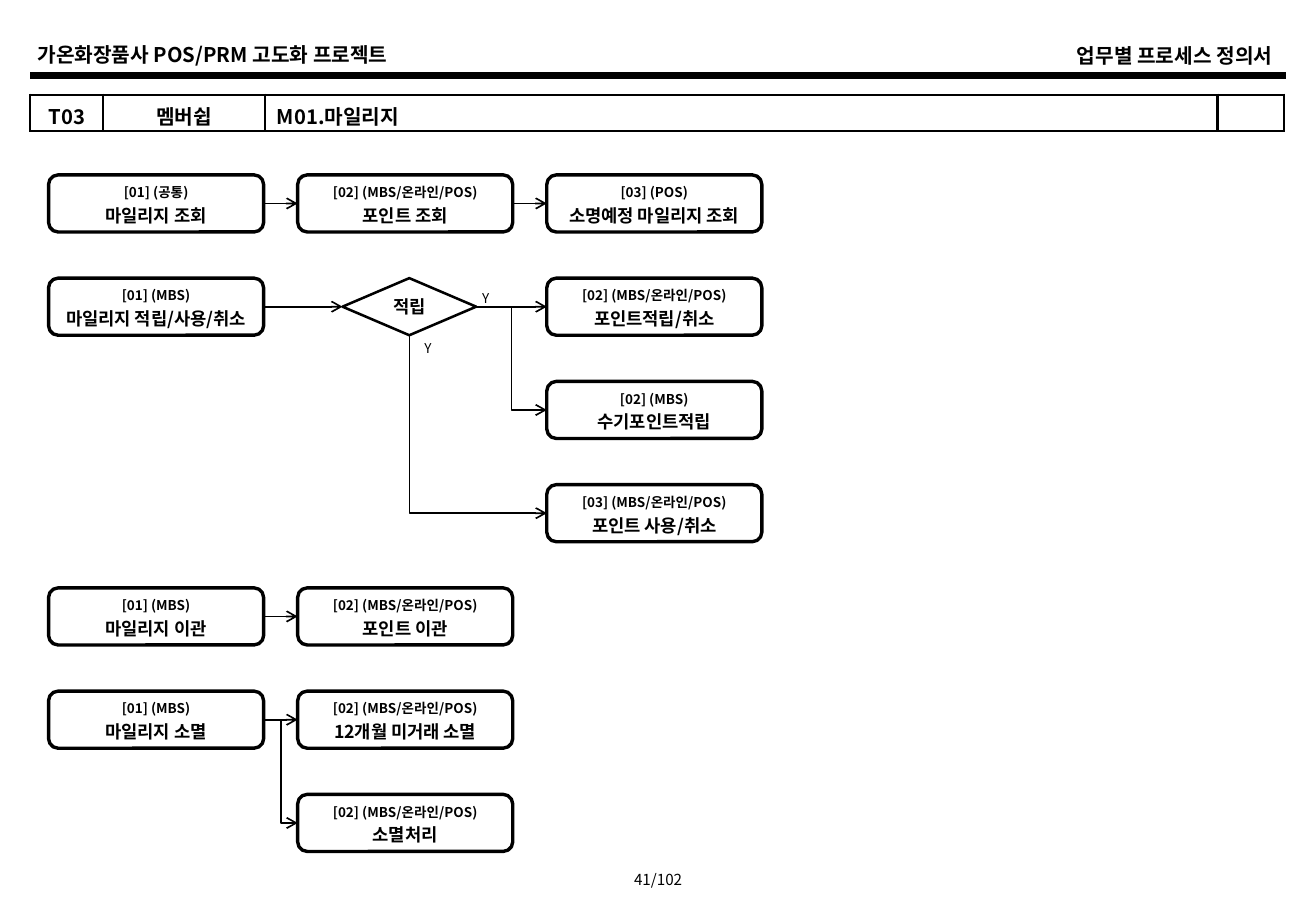
from lxml.etree import SubElement as Sub
from pptx import Presentation
from pptx.dml.color import RGBColor as RGB
from pptx.enum.shapes import MSO_CONNECTOR as Link, MSO_SHAPE as Form
from pptx.enum.text import MSO_ANCHOR as Anchor, PP_ALIGN as Align
from pptx.oxml.ns import qn
from pptx.util import Inches, Pt

INK = {"black": "000000", "white": "FFFFFF"}
FONT = "Noto Sans CJK KR"
SHOPS = "(MBS/온라인/POS)"


class Sheet:
    """Draws on one slide, with flow boxes on a grid and the rest in percent."""

    def __init__(self):
        self.deck = Presentation()
        self.deck.slide_width, self.deck.slide_height = Inches(10.83), Inches(7.5)
        self.slide = self.deck.slides.add_slide(self.deck.slide_layouts[6])
        self.slide.background.fill.solid()
        self.slide.background.fill.fore_color.rgb = self.ink("white")
        self.shapes = self.slide.shapes

    def ink(self, name):
        return RGB.from_string(INK[name])

    def wide(self, share):
        return round(self.deck.slide_width * share / 100)

    def high(self, share):
        return round(self.deck.slide_height * share / 100)

    def area(self, x, y, w, h):
        return self.wide(x), self.high(y), self.wide(w), self.high(h)

    def cell(self, col, row, width):
        return Inches(0.4 + 2.05 * col), Inches(1.44 + 0.85 * row), Inches(width), Inches(0.47)

    def letter(self, frame, lines, size, align, bold=True, space=None):
        for num, text in enumerate(lines):
            para = frame.add_paragraph() if num else frame.paragraphs[0]
            para.text = text
            para.alignment = align
            para.line_spacing = space
            font = para.font
            font.size = Pt(size[num])
            font.bold = bold
            font.name = FONT
            font.color.rgb = self.ink("black")
            base = para._p.get_or_add_pPr().get_or_add_defRPr()
            Sub(base, qn("a:ea"), typeface=FONT)
            if not text:
                Sub(para._p, qn("a:endParaRPr"), sz=str(size[num] * 100))

    def label(self, text, place, size, align, bold=False, wrap=True):
        frame = self.shapes.add_textbox(*self.area(*place)).text_frame
        frame.word_wrap = wrap
        self.letter(frame, [text], [size], align, bold)

    def block(self, form, place, lines, size, line, inset, space=None):
        shape = self.shapes.add_shape(form, *place)
        shape.shadow.inherit = False
        shape.fill.solid()
        shape.fill.fore_color.rgb = self.ink("white")
        shape.line.color.rgb = self.ink("black")
        shape.line.width = Pt(line)
        frame = shape.text_frame
        frame.word_wrap = True
        frame.vertical_anchor = Anchor.MIDDLE
        frame.margin_left = frame.margin_right = Inches(inset)
        frame.margin_top = frame.margin_bottom = Inches(inset)
        self.letter(frame, lines, size, Align.CENTER, space=space)
        return shape

    def step(self, col, row, code, name):
        return self.block(Form.ROUNDED_RECTANGLE, self.cell(col, row, 1.77),
                          [code, name], [8, 10.5], 2, 0.04, 1.2)

    def check(self, col, row, name):
        return self.block(Form.FLOWCHART_DECISION, self.cell(col, row, 1.1),
                          [name], [10.5], 1.5, 0)

    def line(self, kind, ends, width):
        link = self.shapes.add_connector(kind, *ends)
        link.line.color.rgb = self.ink("black")
        link.line.width = Pt(width)
        Sub(link._element.spPr, qn("a:effectLst"))
        return link

    def wire(self, start, end, kind=Link.STRAIGHT, down=False):
        link = self.line(kind, (0, 0, 0, 0), 1)
        link.begin_connect(start, 2 if down else 3)
        link.end_connect(end, 1)
        Sub(link._element.spPr.find(qn("a:ln")), qn("a:tailEnd"), type="arrow")
        if down:
            self.turn(link)

    def turn(self, link):
        x, y, w, h = link.left, link.top, link.width, link.height
        link.left, link.top = x + (w - h) // 2, y + (h - w) // 2
        link.width, link.height = h, w
        props = link._element.spPr
        frame = props.find(qn("a:xfrm"))
        frame.set("rot", "16200000")
        frame.set("flipH", "1")
        props.find(qn("a:prstGeom")).set("prst", "bentConnector2")

    def table(self, place, cols):
        grid = self.shapes.add_table(1, len(cols), *self.area(*place)).table
        grid.first_row = grid.horz_banding = False
        for num, (width, text, align) in enumerate(cols):
            grid.columns[num].width = self.wide(width)
            cell = grid.cell(0, num)
            cell.margin_top, cell.margin_bottom = Inches(0.05), 0
            self.letter(cell.text_frame, [text], [12], align)
            props = cell._tc.get_or_add_tcPr()
            for side in "LRTB":
                edge = Sub(props, qn(f"a:ln{side}"), w=str(Pt(1.5)))
                Sub(Sub(edge, qn("a:solidFill")), qn("a:srgbClr"), val=INK["black"])
            cell.fill.background()


def main():
    page = Sheet()
    page.label("41/102", (45.71, 94.93, 8.59, 3.33), 9, Align.CENTER)
    page.label("가온화장품사 POS/PRM 고도화 프로젝트", (1.94, 4, 38.32, 4), 12, Align.LEFT, True)
    page.label("업무별 프로세스 정의서", (59.28, 4.13, 38.32, 4), 12, Align.RIGHT, True)
    page.line(Link.STRAIGHT, page.area(2.31, 8.27, 97.69, 8.27), 4.5)
    page.table((2.31, 10.4, 95.29, 4), [
        (5.54, "T03", Align.CENTER),
        (12.28, "멤버쉽", Align.CENTER),
        (72.39, "M01.마일리지", Align.LEFT),
        (5.08, "", Align.CENTER),
    ])

    view = page.step(0, 0, "[01] (공통)", "마일리지 조회")
    point = page.step(1, 0, f"[02] {SHOPS}", "포인트 조회")
    due = page.step(2, 0, "[03] (POS)", "소명예정 마일리지 조회")
    earn = page.step(0, 1, "[01] (MBS)", "마일리지 적립/사용/취소")
    test = page.check(1.18, 1, "적립")
    save = page.step(2, 1, f"[02] {SHOPS}", "포인트적립/취소")
    hand = page.step(2, 2, "[02] (MBS)", "수기포인트적립")
    spend = page.step(2, 3, f"[03] {SHOPS}", "포인트 사용/취소")
    move = page.step(0, 4, "[01] (MBS)", "마일리지 이관")
    shift = page.step(1, 4, f"[02] {SHOPS}", "포인트 이관")
    lapse = page.step(0, 5, "[01] (MBS)", "마일리지 소멸")
    idle = page.step(1, 5, f"[02] {SHOPS}", "12개월 미거래 소멸")
    purge = page.step(1, 6, f"[02] {SHOPS}", "소멸처리")

    for start, end in [(view, point), (point, due), (earn, test), (test, save),
                       (move, shift), (lapse, idle)]:
        page.wire(start, end)
    for start, end in [(test, hand), (lapse, purge)]:
        page.wire(start, end, Link.ELBOW)
    page.wire(test, spend, Link.ELBOW, True)

    page.label("Y", (35.73, 31.2, 2.49, 3.2), 8, Align.LEFT, wrap=False)
    page.label("Y", (31.21, 36.67, 2.49, 3.2), 8, Align.RIGHT, wrap=False)
    page.deck.save("out.pptx")


if __name__ == "__main__":
    main()
